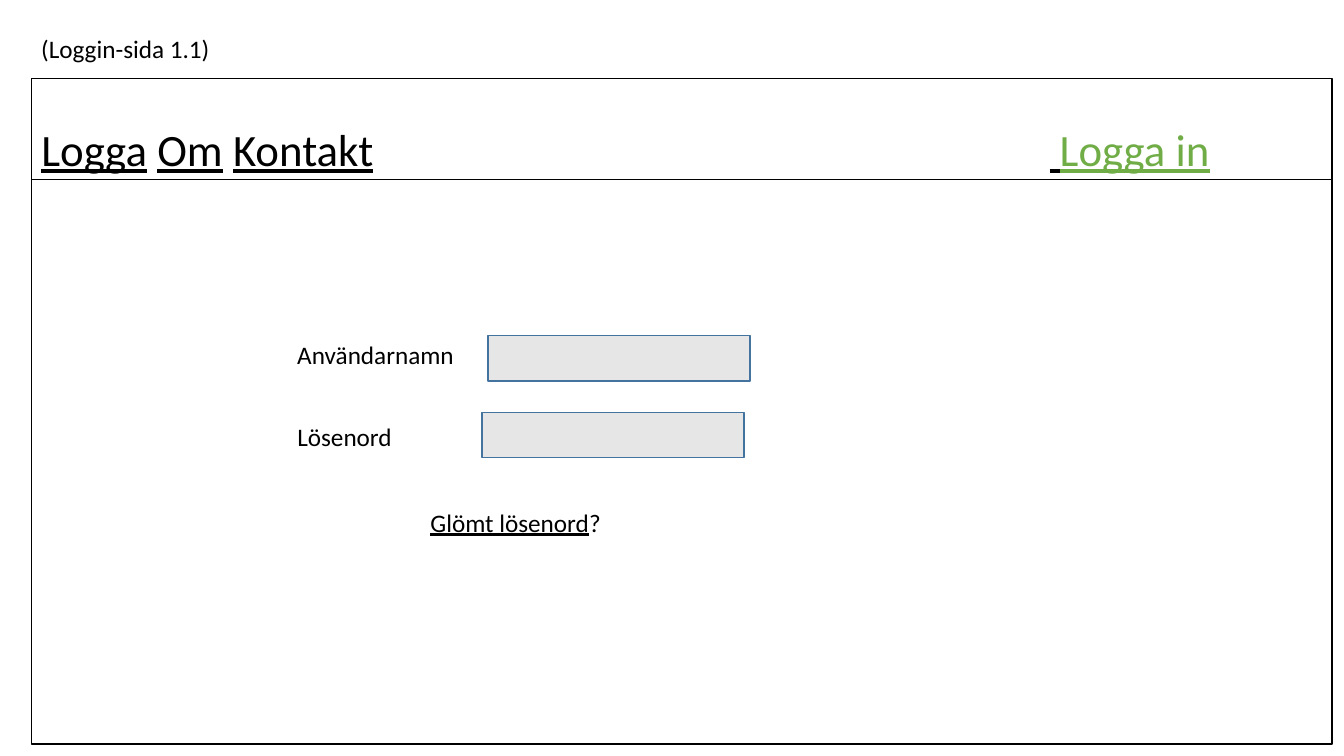
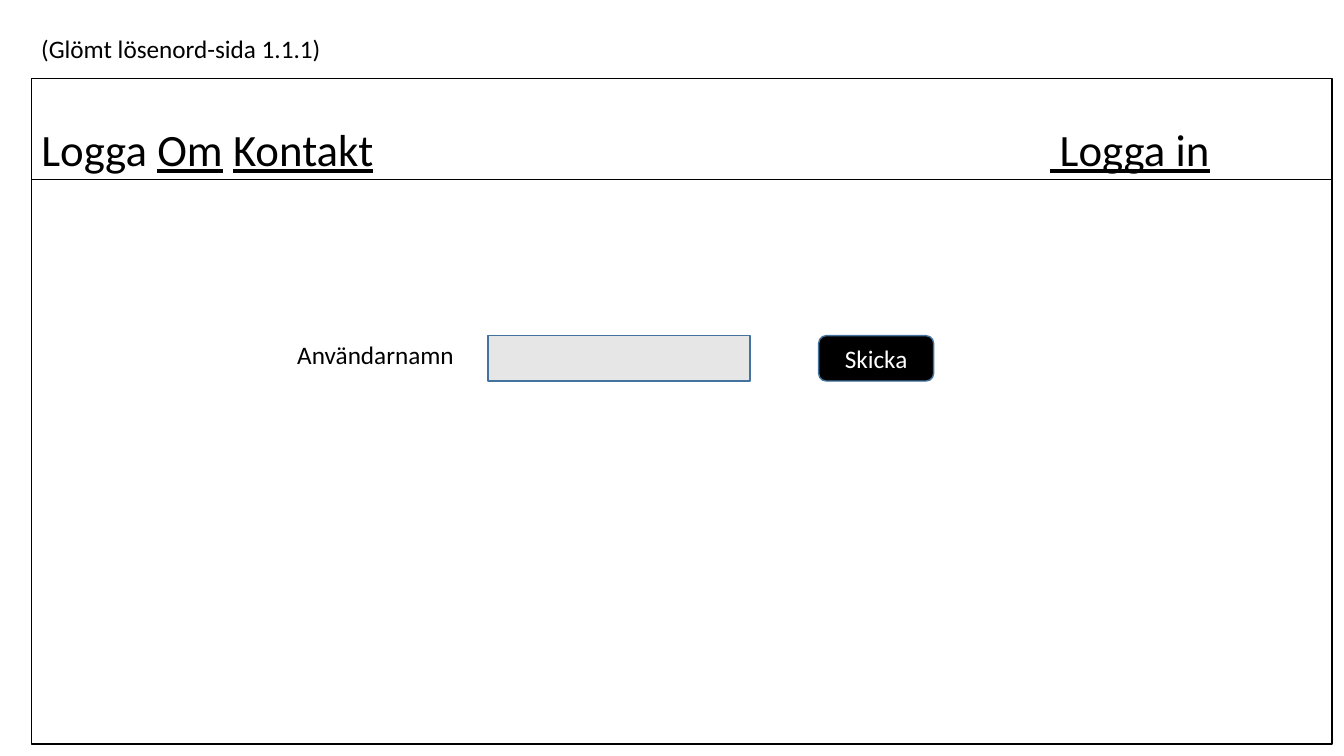
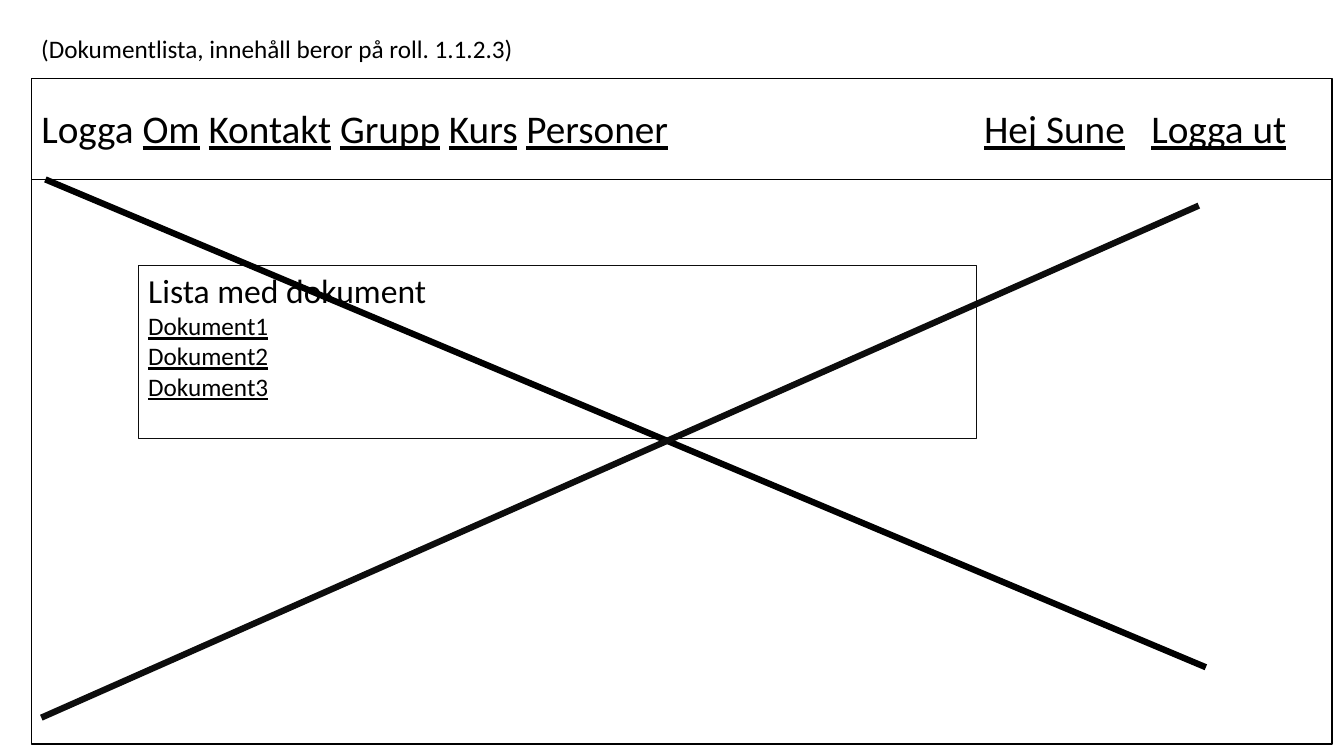
from lxml import etree
from pptx import Presentation
from pptx import util as u
from pptx.dml.color import RGBColor
from pptx.enum import shapes, text
from pptx.oxml import ns

BLACK = RGBColor(0x00, 0x00, 0x00)
INK = RGBColor(0x0D, 0x0D, 0x0D)
WHITE = RGBColor(0xFF, 0xFF, 0xFF)
GREEN = RGBColor(0x70, 0xAD, 0x47)
FIELD_GRAY = RGBColor(0xE7, 0xE6, 0xE6)
BORDER_BLUE = RGBColor(0x43, 0x73, 0x9E)
FONT = "Calibri"
GRID_ROWS = 75
TITLE_ONLY = 5
TITLE_AND_BODY = 1


class Wireframe:
    left = 3.1
    width = 129
    header_top = 7.8
    header_height = 10
    page_height = 56

    def __init__(self):
        self.presentation = Presentation()
        self.presentation.slide_width = u.Inches(13.33)
        self.presentation.slide_height = u.Inches(7.5)
        self.cell = self.presentation.slide_height / GRID_ROWS
        self.slide = None

    def place(self, *cells):
        return [round(cell * self.cell) for cell in cells]

    def move(self, shape, *cells):
        shape.left, shape.top, shape.width, shape.height = self.place(*cells)

    def fill_text(self, paragraph, content, size=18, color=BLACK):
        paragraph.font.name = FONT
        paragraph.font.size = u.Pt(size)
        paragraph.font.color.rgb = color
        for index, piece in enumerate(content.split("_")):
            if piece:
                run = paragraph.add_run()
                run.text = piece
                if index % 2:
                    run.font.underline = True

    def page(self, caption, menu, tabs, size=32, menu_top=12.3, layout=TITLE_ONLY):
        self.slide = self.presentation.slides.add_slide(
            self.presentation.slide_layouts[layout])
        self.label(caption, self.left, 2.8, 56.5, wrap=True)
        header_bottom = self.header_top + self.header_height
        self.box(self.left, self.header_top, self.width, self.header_height)
        self.box(self.left, header_bottom, self.width, self.page_height)
        return self.menu(menu, tabs, size, menu_top)

    def menu(self, content, tabs, size, top):
        title = self.slide.shapes.title
        self.move(title, self.left, top, self.width, 5.6)
        frame = title.text_frame
        frame.auto_size = text.MSO_AUTO_SIZE.NONE
        frame.vertical_anchor = text.MSO_ANCHOR.MIDDLE
        paragraph = frame.paragraphs[0]
        paragraph.alignment = text.PP_ALIGN.LEFT
        paragraph.line_spacing = 0.9
        self.fill_text(paragraph, content, size)
        properties = paragraph._p.get_or_add_pPr()
        tab_list = etree.Element(ns.qn("a:tabLst"))
        for position in self.place(*tabs):
            etree.SubElement(tab_list, ns.qn("a:tab"), pos=str(position), algn="l")
        properties.find(ns.qn("a:defRPr")).addprevious(tab_list)
        return paragraph

    def label(self, content, left, top, width, wrap=False):
        box = self.slide.shapes.add_textbox(*self.place(left, top, width, 4))
        box.text_frame.word_wrap = wrap
        self.fill_text(box.text_frame.paragraphs[0], content)

    def box(self, left, top, width, height, fill=None, line=BLACK,
            kind=shapes.MSO_SHAPE.RECTANGLE):
        shape = self.slide.shapes.add_shape(kind, *self.place(left, top, width, height))
        shape.shadow.inherit = False
        if fill is None:
            shape.fill.background()
        else:
            shape.fill.solid()
            shape.fill.fore_color.rgb = fill
        shape.line.color.rgb = line
        shape.line.width = u.Pt(1)
        return shape

    def field(self, left, top):
        self.box(left, top, 26, 4.5, FIELD_GRAY, BORDER_BLUE)

    def button(self, content, left, top):
        shape = self.box(left, top, 11.4, 4.5, BLACK, BORDER_BLUE,
                         shapes.MSO_SHAPE.ROUNDED_RECTANGLE)
        shape.text_frame.vertical_anchor = text.MSO_ANCHOR.MIDDLE
        paragraph = shape.text_frame.paragraphs[0]
        paragraph.alignment = text.PP_ALIGN.CENTER
        self.fill_text(paragraph, content, color=WHITE)

    def user_name(self):
        self.label("Användarnamn", 28.5, 33.2, 17.7)
        self.field(48.4, 33.3)

    def document_list(self, heading, documents, *cells):
        body = self.slide.placeholders[1]
        self.move(body, *cells)
        body.line.color.rgb = INK
        body.line.width = u.Pt(0.75)
        frame = body.text_frame
        frame.auto_size = text.MSO_AUTO_SIZE.NONE
        frame.vertical_anchor = text.MSO_ANCHOR.TOP
        entries = [(heading, 24)] + [(f"_{name}_", 18) for name in documents]
        for index, (content, size) in enumerate(entries):
            paragraph = frame.add_paragraph() if index else frame.paragraphs[0]
            paragraph.space_before = u.Pt(0)
            self.fill_text(paragraph, content, size)
            properties = paragraph._p.get_or_add_pPr()
            properties.set("marL", "0")
            properties.set("indent", "0")
            properties.find(ns.qn("a:defRPr")).addprevious(
                etree.Element(ns.qn("a:buNone")))

    def stroke(self, start, end, color):
        line = self.slide.shapes.add_connector(
            shapes.MSO_CONNECTOR.STRAIGHT, *self.place(*start, *end))
        line.line.color.rgb = color
        line.line.width = u.Pt(4.5)
        etree.SubElement(line._element.spPr, ns.qn("a:effectLst"))


wireframe = Wireframe()

menu = wireframe.page("(Loggin-sida 1.1)",
                      "_Logga_ _Om_ _Kontakt_\t_ __Logga in_", [100])
menu.runs[-1].font.color.rgb = GREEN
wireframe.user_name()
wireframe.label("Lösenord", 28.5, 41.3, 14.9, wrap=True)
wireframe.field(47.8, 40.9)
wireframe.label("_Glömt lösenord_?", 41.7, 49.8, 19.1)

wireframe.page("(Glömt lösenord-sida 1.1.1)",
               "Logga _Om_ _Kontakt_\t_ Logga in_", [100])
wireframe.user_name()
wireframe.button("Skicka", 81.2, 33.3)

wireframe.page("(Dokumentlista, innehåll beror på roll. 1.1.2.3)",
               "Logga _Om_ _Kontakt_ _Grupp_ _Kurs_ _Personer_\t_Hej Sune_\t_Logga ut_",
               [93.5, 110.1], size=28, menu_top=10.2, layout=TITLE_AND_BODY)
wireframe.document_list("Lista med dokument",
                        ["Dokument1", "Dokument2", "Dokument3"],
                        13.7, 26.3, 83.2, 17.2)
wireframe.stroke((4.5, 17.8), (119.6, 66.2), BLACK)
wireframe.stroke((118.9, 20.4), (4.1, 71.2), INK)

wireframe.presentation.save("out.pptx")
